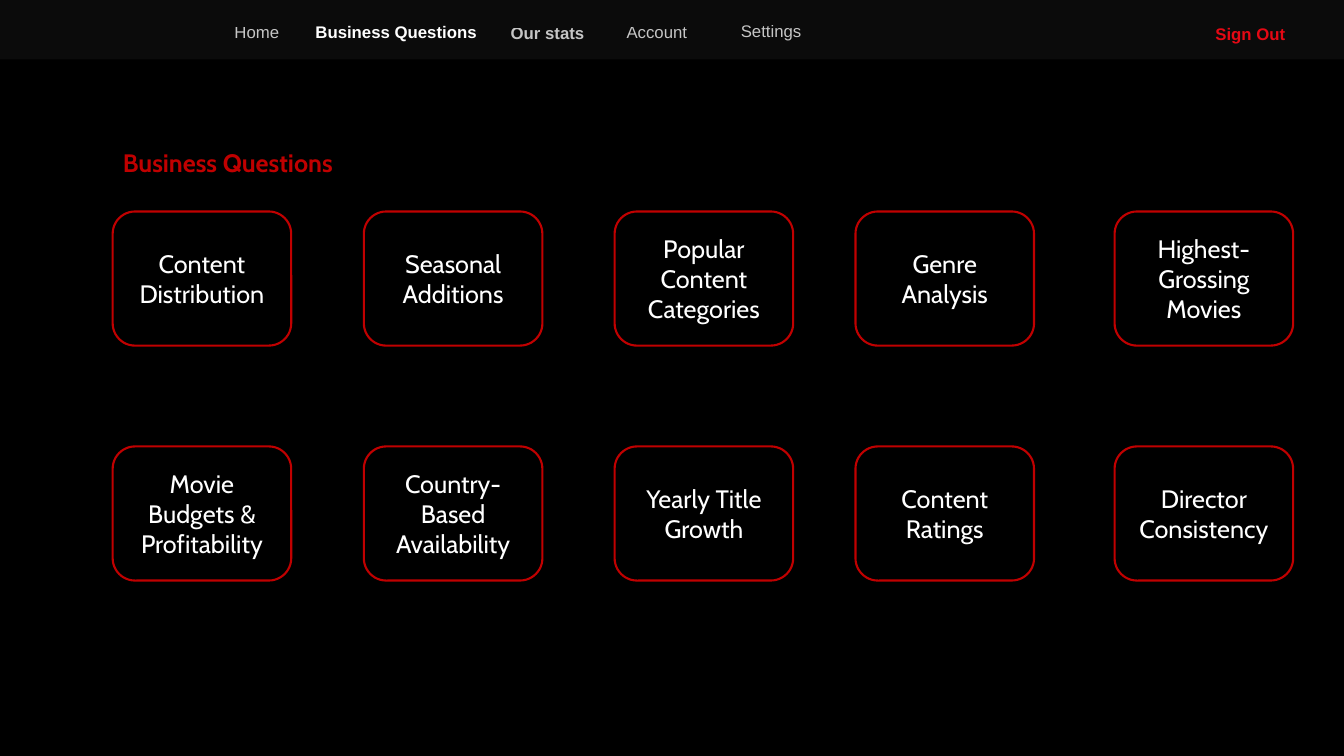
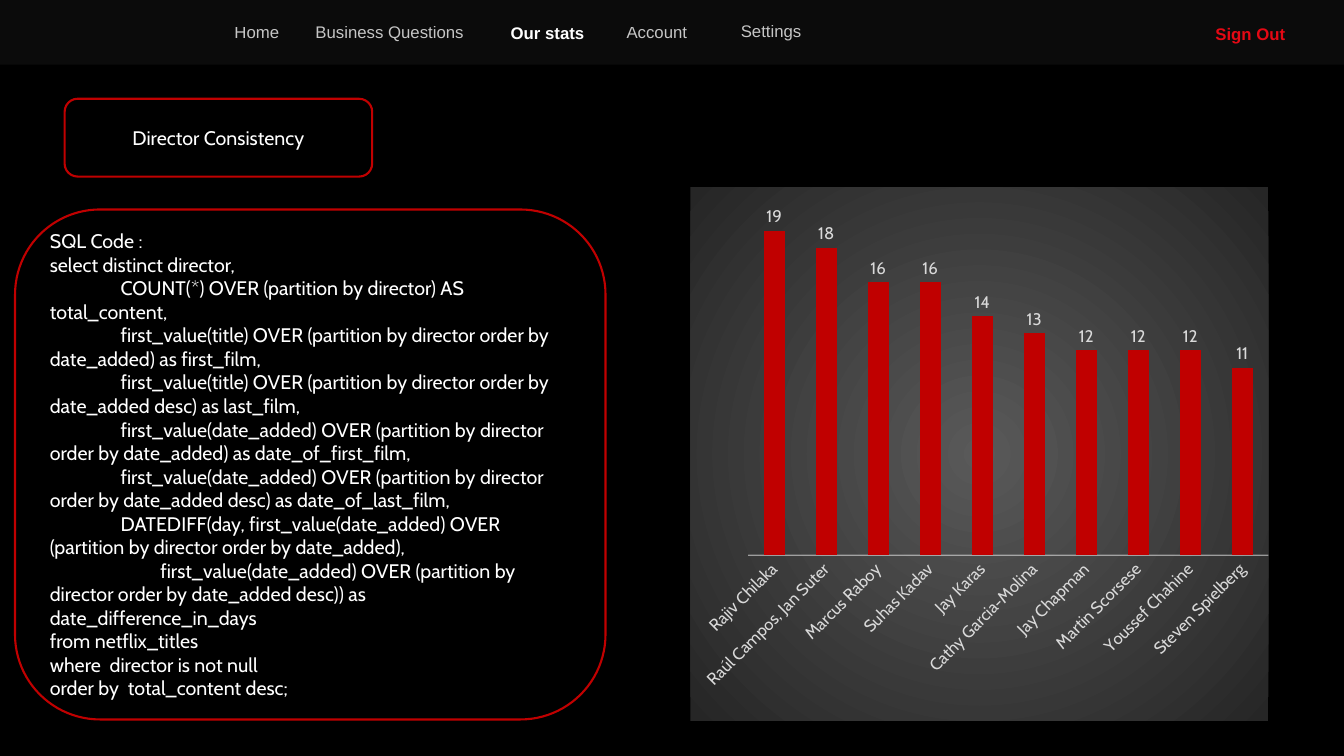
from itertools import product

from lxml import etree
from pptx import Presentation
from pptx.chart.data import CategoryChartData
from pptx.dml.color import RGBColor
from pptx.enum.chart import XL_CHART_TYPE, XL_LABEL_POSITION, XL_TICK_MARK
from pptx.enum.shapes import MSO_SHAPE
from pptx.enum.text import MSO_ANCHOR, MSO_AUTO_SIZE, PP_ALIGN
from pptx.oxml import parse_xml
from pptx.oxml.ns import nsdecls, qn
from pptx.util import Cm, Pt

RECTANGLE, ROUNDED = MSO_SHAPE.RECTANGLE, MSO_SHAPE.ROUNDED_RECTANGLE
LEFT, CENTER = PP_ALIGN.LEFT, PP_ALIGN.CENTER
MIDDLE, TOP = MSO_ANCHOR.MIDDLE, MSO_ANCHOR.TOP
NO_AUTOFIT = MSO_AUTO_SIZE.NONE
COLUMNS = XL_CHART_TYPE.COLUMN_CLUSTERED
OUTSIDE_END = XL_LABEL_POSITION.OUTSIDE_END
NO_TICKS = XL_TICK_MARK.NONE

BLACK, WHITE, BAND = "000000", "FFFFFF", "0B0B0B"
RED, SIGN_OUT_RED = "C00000", "E50814"
CHART_TEXT, AXIS = "D9D9D9", "F2F2F2"
BODY_FONT, NAV_FONT = "Cabin", "Arial"
SLIDE_WIDTH, SLIDE_HEIGHT = 33.87, 19.05
NAV_HEIGHT = 0.76
MUTED = 76

NAV_ITEMS = [
    ("Home", 5.66, 0.43, 1.78, False),
    ("Business Questions", 7.7, 0.43, 5, False),
    ("Our stats", 12.62, 0.46, 3.02, True),
    ("Account", 15.54, 0.43, 2.13, False),
    ("Settings", 18.42, 0.41, 2.13, False),
]
QUESTIONS = [
    "Content Distribution", "Seasonal Additions", "Popular Content Categories",
    "Genre Analysis", "Highest-Grossing Movies",
    "Movie Budgets & Profitability", "Country-Based Availability",
    "Yearly Title Growth", "Content Ratings", "Director Consistency",
]
QUESTION_LEFTS = [2.84, 9.17, 15.49, 21.56, 28.09]
QUESTION_TOPS = [5.33, 11.25]
QUESTION_SIZE = (4.5, 3.38)

SQL_LINES = [
    "SQL Code :",
    "select distinct director,",
    "                COUNT(*) OVER (partition by director) AS total_content,",
    "                first_value(title) OVER (partition by director order by date_added) as first_film,",
    "                first_value(title) OVER (partition by director order by date_added desc) as last_film,",
    "                first_value(date_added) OVER (partition by director order by date_added) as date_of_first_film,",
    "                first_value(date_added) OVER (partition by director order by date_added desc) as date_of_last_film,",
    "                DATEDIFF(day, first_value(date_added) OVER (partition by director order by date_added),",
    "                         first_value(date_added) OVER (partition by director order by date_added desc)) as date_difference_in_days",
    "from netflix_titles",
    "where  director is not null",
    "order by  total_content desc;",
]

DIRECTOR_TITLES = {
    "Rajiv Chilaka": 19, "Raúl Campos, Jan Suter": 18, "Marcus Raboy": 16,
    "Suhas Kadav": 16, "Jay Karas": 14, "Cathy Garcia-Molina": 13,
    "Jay Chapman": 12, "Martin Scorsese": 12, "Youssef Chahine": 12,
    "Steven Spielberg": 11,
}


def paint(fill, color, opacity=100):
    """Make a fill solid with a hex colour and an opacity in percent."""
    fill.solid()
    fill.fore_color.rgb = RGBColor.from_string(color)
    if opacity < 100:
        rgb = fill._xPr.find(qn("a:solidFill")).find(qn("a:srgbClr"))
        etree.SubElement(rgb, qn("a:alpha")).set("val", str(opacity * 1000))


def style_font(font, size, color, name=BODY_FONT, bold=False, opacity=100):
    """Format a font."""
    font.size, font.name, font.bold = Pt(size), name, bold
    paint(font.fill, color, opacity)


def write(frame, text, align=LEFT, anchor=MIDDLE, **font_format):
    """Write the lines of a text as formatted paragraphs."""
    frame.word_wrap = True
    frame.auto_size = NO_AUTOFIT
    frame.vertical_anchor = anchor
    for index, line in enumerate(text.split("\n")):
        paragraph = frame.paragraphs[0] if index == 0 else frame.add_paragraph()
        paragraph.alignment = align
        run = paragraph.add_run()
        run.text = line
        style_font(run.font, **font_format)


def add_title(slide, text, box, **text_format):
    """Place and format the slide title."""
    title = slide.shapes.title
    title.left, title.top, title.width, title.height = map(Cm, box)
    write(title.text_frame, text, **text_format)


def add_panel(slide, kind, box, fill=None, outline=None):
    """Add a flat shape with an optional fill and outline."""
    panel = slide.shapes.add_shape(kind, *map(Cm, box))
    panel.shadow.inherit = False
    if fill:
        paint(panel.fill, fill)
    else:
        panel.fill.background()
    if outline:
        paint(panel.line.fill, outline)
        panel.line.width = Pt(1.5)
    else:
        panel.line.fill.background()
    return panel


def add_card(slide, text, box, **text_format):
    """Add a black rounded card with a red outline and white text."""
    card = add_panel(slide, ROUNDED, box, fill=BLACK, outline=RED)
    write(card.text_frame, text, color=WHITE, **text_format)


def add_nav_label(slide, text, left, top, width, **font_format):
    """Add one label of the navigation bar."""
    label = slide.shapes.add_textbox(Cm(left), Cm(top), Cm(width), Cm(NAV_HEIGHT))
    write(label.text_frame, text, anchor=TOP, size=12, name=NAV_FONT, **font_format)


def add_navigation(slide, active, band_height):
    """Add the navigation bar with the active page highlighted."""
    add_panel(slide, RECTANGLE, (0, 0, SLIDE_WIDTH, band_height), fill=BAND)
    for text, left, top, width, always_bold in NAV_ITEMS:
        is_active = text == active
        add_nav_label(slide, text, left, top, width, color=WHITE,
                      bold=is_active or always_bold,
                      opacity=100 if is_active else MUTED)
    add_nav_label(slide, "Sign Out", 30.38, 0.48, 2.39, color=SIGN_OUT_RED, bold=True)


def set_chart_background(chart):
    """Give the chart area a circular grey gradient."""
    background = parse_xml(
        f'<c:spPr {nsdecls("c", "a")}><a:gradFill><a:gsLst>'
        '<a:gs pos="0"><a:srgbClr val="595959"/></a:gs>'
        '<a:gs pos="100000"><a:srgbClr val="262626"/></a:gs></a:gsLst>'
        '<a:path path="circle"><a:fillToRect l="50000" t="50000" r="50000" b="50000"/></a:path>'
        '</a:gradFill><a:ln><a:noFill/></a:ln></c:spPr>')
    chart._chartSpace.find(qn("c:chart")).addnext(background)


def set_plot_area(chart, **edges):
    """Fix the inner plot area as fractions of the chart."""
    plot_area = chart._chartSpace.find(qn("c:chart")).find(qn("c:plotArea"))
    for layout in plot_area.findall(qn("c:layout")):
        plot_area.remove(layout)
    values = "".join(f'<c:{edge} val="{value}"/>' for edge, value in edges.items())
    plot_area.insert(0, parse_xml(
        f'<c:layout {nsdecls("c")}><c:manualLayout><c:layoutTarget val="inner"/>'
        f'<c:xMode val="edge"/><c:yMode val="edge"/>{values}</c:manualLayout></c:layout>'))


def style_axes(chart):
    """Hide the value axis and slant the director names."""
    values, directors = chart.value_axis, chart.category_axis
    values.visible = False
    values.has_major_gridlines = False
    values.minimum_scale, values.maximum_scale = 0, 20
    directors.has_major_gridlines = False
    directors.major_tick_mark = directors.minor_tick_mark = NO_TICKS
    axis_line = directors.format.line
    axis_line.width = Pt(1)
    paint(axis_line.fill, AXIS, opacity=54)
    style_font(directors.tick_labels.font, 12, CHART_TEXT)
    body = directors._element.find(qn("c:txPr")).find(qn("a:bodyPr"))
    body.set("rot", "-2700000")
    body.set("vert", "horz")


def add_director_chart(slide, box):
    """Add the column chart of titles per director."""
    data = CategoryChartData()
    data.categories = list(DIRECTOR_TITLES)
    data.add_series("Series 1", list(DIRECTOR_TITLES.values()))
    chart = slide.shapes.add_chart(COLUMNS, *map(Cm, box), data).chart
    chart.has_legend = chart.has_title = False
    style_font(chart.font, 10, BLACK)
    set_chart_background(chart)
    set_plot_area(chart, x=0.1, y=0.05, w=0.9, h=0.64)
    style_axes(chart)
    plot = chart.plots[0]
    plot.gap_width, plot.overlap, plot.vary_by_categories = 150, -25, False
    paint(plot.series[0].format.fill, RED)
    plot.has_data_labels = True
    labels = plot.data_labels
    labels.show_value, labels.position = True, OUTSIDE_END
    style_font(labels.font, 12, CHART_TEXT)


def build_questions(slide):
    """Build the overview of business questions."""
    add_navigation(slide, "Business Questions", band_height=1.5)
    add_title(slide, "Business Questions", (2.84, 3.58, 6.73, 1.02),
              size=18, color=RED, bold=True)
    for question, (top, left) in zip(QUESTIONS, product(QUESTION_TOPS, QUESTION_LEFTS)):
        add_card(slide, question, (left, top, *QUESTION_SIZE), align=CENTER, size=18)


def build_director_stats(slide):
    """Build the director query and its chart."""
    title_box = (1.63, 2.49, 7.75, 1.96)
    add_navigation(slide, "Our stats", band_height=1.63)
    add_panel(slide, ROUNDED, title_box, outline=RED)
    add_title(slide, "Director Consistency", title_box,
              align=CENTER, size=14, color=WHITE)
    add_director_chart(slide, (17.4, 4.72, 14.58, 13.44))
    add_card(slide, "\n".join(SQL_LINES), (0.38, 5.28, 14.88, 12.85), size=14)


def main():
    """Build and save the presentation."""
    presentation = Presentation()
    presentation.slide_width, presentation.slide_height = Cm(SLIDE_WIDTH), Cm(SLIDE_HEIGHT)
    paint(presentation.slide_master.background.fill, BLACK)
    title_only = presentation.slide_layouts[5]
    for build in (build_questions, build_director_stats):
        build(presentation.slides.add_slide(title_only))
    presentation.save("out.pptx")


if __name__ == "__main__":
    main()
